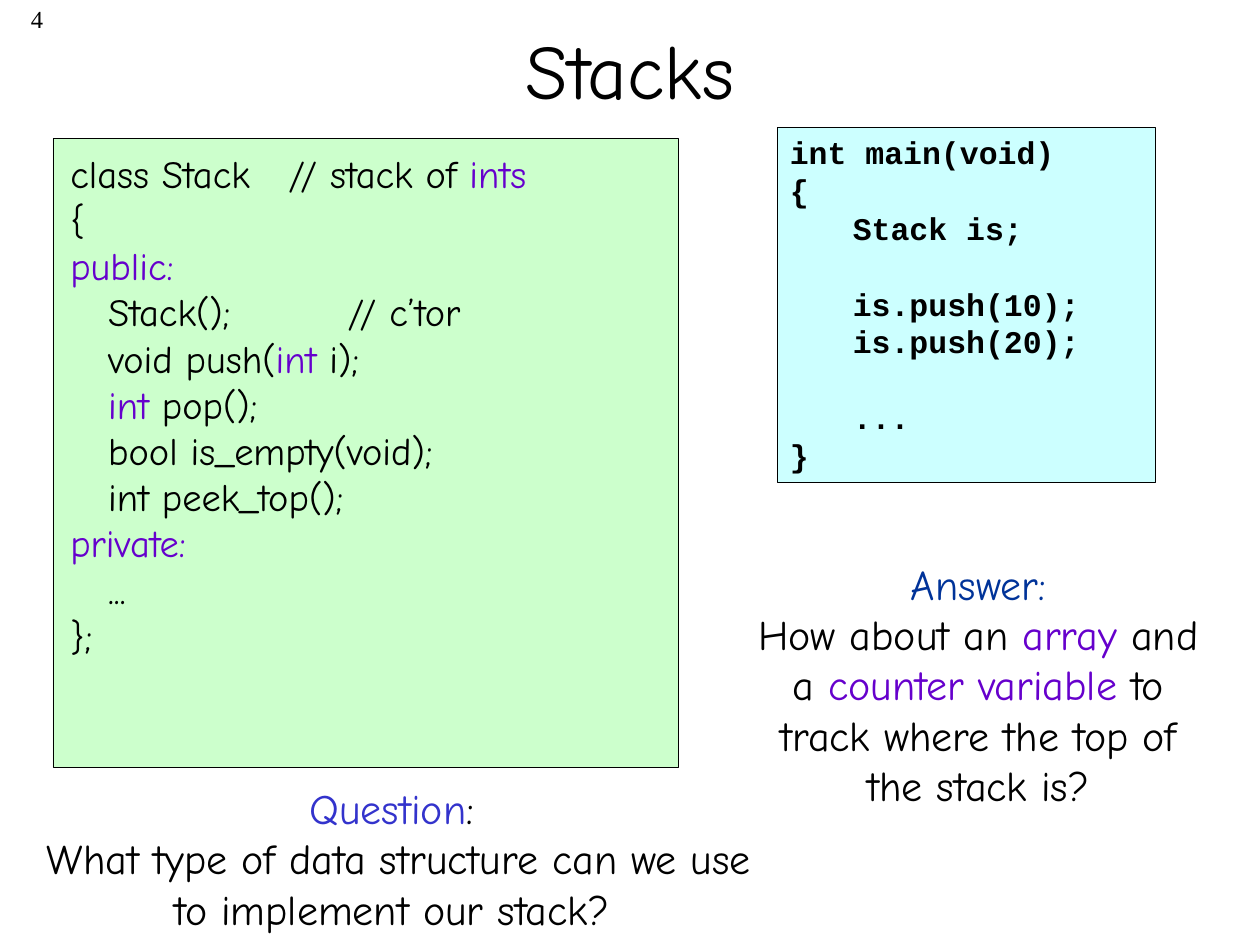
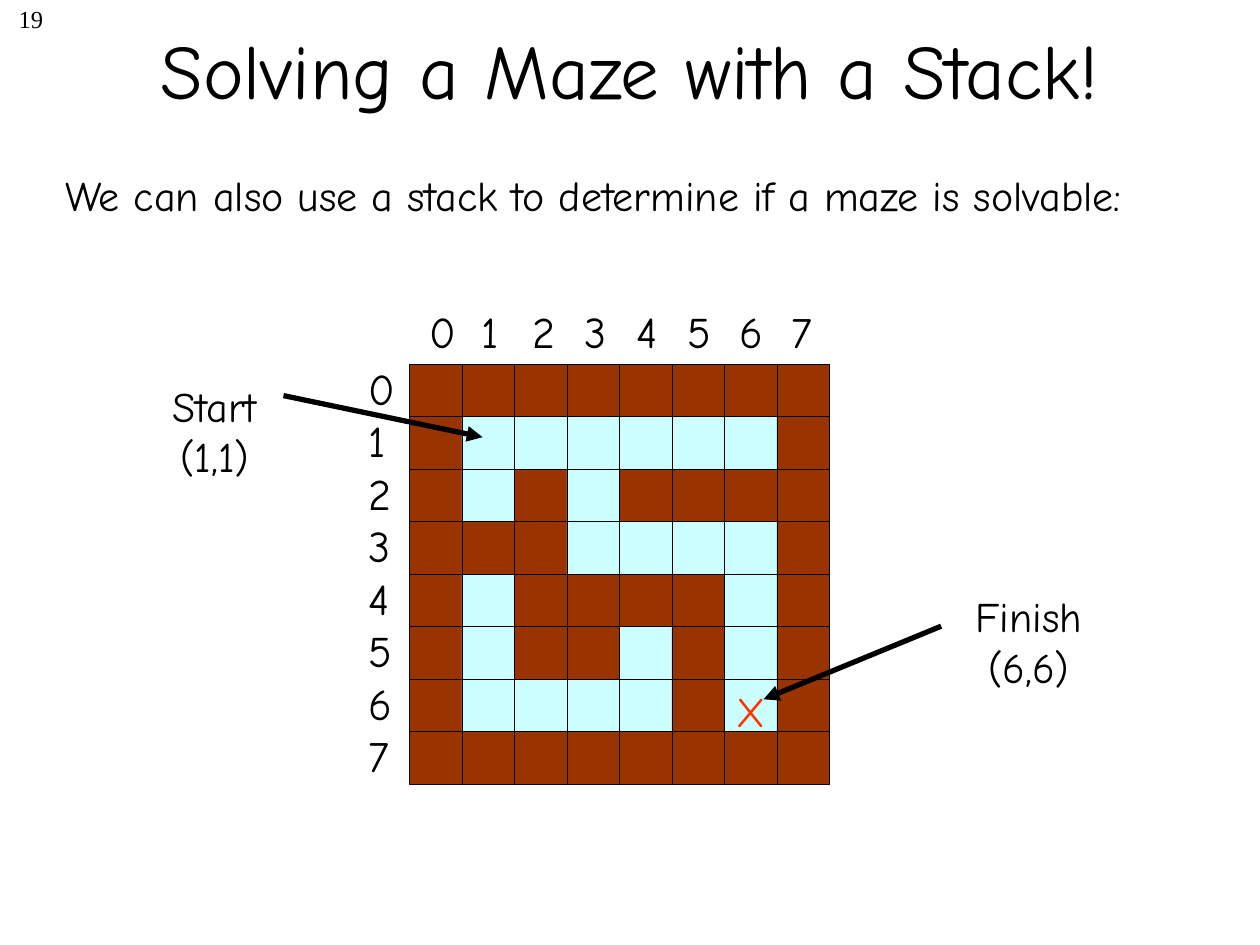
from dataclasses import dataclass

from lxml import etree
from pptx import Presentation
from pptx.dml.color import RGBColor
from pptx.enum.shapes import MSO_CONNECTOR, MSO_SHAPE
from pptx.enum.text import MSO_ANCHOR, PP_ALIGN
from pptx.oxml.ns import qn
from pptx.util import Inches, Pt

LEFT, MID, RIGHT = PP_ALIGN.LEFT, PP_ALIGN.CENTER, PP_ALIGN.RIGHT
CENTRE = MSO_ANCHOR.MIDDLE
RECT = MSO_SHAPE.RECTANGLE
STRAIGHT = MSO_CONNECTOR.STRAIGHT


@dataclass(frozen=True)
class Theme:
    # Fonts
    hand: str = "Comic Neue"
    mono: str = "Courier New"
    serif: str = "Times New Roman"
    # Type sizes
    title: int = 44
    digit: int = 25
    body: int = 24
    code: int = 22
    small: int = 18
    page: int = 14
    # Colours
    ink: str = "000000"
    key: str = "6600CC"
    ask: str = "3333CC"
    reply: str = "003399"
    mark: str = "FF3300"
    green: str = "CCFFCC"
    aqua: str = "CCFFFF"
    wall: str = "993300"


THEME = Theme()


def rgb(code):
    return RGBColor.from_string(code)


class Deck:
    def __init__(self, theme):
        self.theme = theme
        self.prs = Presentation()
        self.prs.slide_width, self.prs.slide_height = Inches(10), Inches(7.5)
        self.slide = None

    def page(self, number, title):
        """Start a slide with its number and title."""
        t = self.theme
        self.slide = self.prs.slides.add_slide(self.prs.slide_layouts[6])
        self.text((0, -0.02, 0.44, 0.5), [number], t.page, RIGHT, t.serif)
        head = self.text((0.75, -0.08, 8.5, 1.25), [title], t.title, MID)
        head.vertical_anchor = CENTRE

    def text(self, box, lines, size, align=LEFT, face=None, bold=False):
        """Write lines; each is a string or a list of (text, colour) runs."""
        frame = self.slide.shapes.add_textbox(*map(Inches, box)).text_frame
        frame.word_wrap = True
        for i, line in enumerate(lines):
            para = frame.add_paragraph() if i else frame.paragraphs[0]
            para.alignment = align
            font = para.font
            font.name, font.size = face or self.theme.hand, Pt(size)
            font.bold = bold
            font.color.rgb = rgb(self.theme.ink)
            runs = [(line, self.theme.ink)] if isinstance(line, str) else line
            for words, colour in runs:
                run = para.add_run()
                run.text = words
                if colour != self.theme.ink:
                    run.font.color.rgb = rgb(colour)
        return frame

    def tabs(self, paras, *stops):
        """Give paragraphs left tab stops, in inches."""
        for para in paras:
            props = para._p.get_or_add_pPr()
            tabs = etree.Element(qn("a:tabLst"))
            for stop in stops:
                etree.SubElement(tabs, qn("a:tab"), pos=str(Inches(stop)), algn="l")
            props.find(qn("a:defRPr")).addprevious(tabs)

    def rect(self, box, fill):
        shape = self.slide.shapes.add_shape(RECT, *map(Inches, box))
        shape.shadow.inherit = False
        shape.fill.solid()
        shape.fill.fore_color.rgb = rgb(fill)
        shape.line.color.rgb = rgb(self.theme.ink)
        shape.line.width = Pt(0.25)

    def arrow(self, start, end):
        ends = map(Inches, (*start, *end))
        link = self.slide.shapes.add_connector(STRAIGHT, *ends)
        link.line.color.rgb = rgb(self.theme.ink)
        link.line.width = Pt(3)
        etree.SubElement(link.line._get_or_add_ln(), qn("a:tailEnd"), type="triangle")
        etree.SubElement(link._element.spPr, qn("a:effectLst"))


def stacks(deck):
    t = deck.theme
    deck.page("4", "Stacks")

    # Class listing
    deck.rect((0.42, 1.1, 4.96, 4.99), t.green)
    code = deck.text((0.46, 1.14, 4.92, 4.13), [
        [("class Stack\t// stack of ", t.ink), ("ints", t.key)],
        "{",
        [("public:", t.key)],
        "\tStack();\t// c’tor",
        [("\tvoid push(", t.ink), ("int", t.key), (" i);", t.ink)],
        [("\tint", t.key), (" pop();", t.ink)],
        "\tbool is_empty(void);",
        "\tint peek_top();",
        [("private:", t.key)],
        "\t...",
        "};",
    ], t.code)
    first, *rest = code.paragraphs
    deck.tabs([first], 1.73)
    deck.tabs(rest, 0.3, 2.2)

    # Main program
    area = (6.17, 1.01, 3, 2.82)
    deck.rect(area, t.aqua)
    main_code = deck.text(area, [
        "int main(void)", "{", "\tStack is;", "\tis.push(10);",
        "\tis.push(20);", "\t...", "}",
    ], t.small, face=t.mono, bold=True)
    pitch = Pt(21.6)
    for para in main_code.paragraphs:
        para.line_spacing = pitch
    for i in (3, 5):
        main_code.paragraphs[i].space_before = pitch
    deck.tabs(main_code.paragraphs, 0.5)

    # Question and answer
    ask = deck.text((0.25, 6.21, 6.33, 1.2), [
        [("Question", t.ask), (": ", t.ink)],
        "What type of data structure can we use to implement our stack? ",
    ], t.body, MID)
    ask.margin_left = ask.margin_top = ask.margin_bottom = 0
    ask.margin_right = Inches(0.5)
    deck.text((5.9, 4.38, 3.73, 2.1), [
        [("Answer:", t.reply)],
        [("How about an ", t.ink), ("array ", t.key), ("and a ", t.ink),
         ("counter variable", t.key),
         (" to track where the top of the stack is?", t.ink)],
    ], t.body, MID)


MAZE = (
    "########",
    "#......#",
    "#.#.####",
    "###....#",
    "#.####.#",
    "#.##.#.#",
    "#....#.#",
    "########",
)


def maze(deck):
    t = deck.theme
    deck.page("19", "Solving a Maze with a Stack!")
    deck.text((0.42, 1.3, 8.91, 0.9),
              ["We can also use a stack to determine if a maze is solvable:"],
              t.body)

    # Grid
    left, top, side = 3.25, 2.89, 5 / 12
    for row, cells in enumerate(MAZE):
        for col, cell in enumerate(cells):
            fill = t.wall if cell == "#" else t.aqua
            deck.rect((left + col * side, top + row * side, side, side), fill)

    # Row and column numbers
    digits = [str(n) for n in range(len(MAZE))]
    deck.text((2.83, 2.82, 0.41, 3.43), digits, t.digit)
    cols = deck.text((3.31, 2.37, 3.4, 0.52), ["\t".join(digits)], t.digit)
    deck.tabs(cols.paragraphs, *(0.41 * n for n in range(1, len(MAZE))))

    # Start and finish
    deck.text((1.17, 2.97, 1.07, 0.9), ["Start", "(1,1)"], t.body, MID)
    deck.arrow((2.25, 3.14), (3.83, 3.47))
    deck.text((7.5, 4.64, 1.33, 0.9), ["Finish", "(6,6)"], t.body, MID)
    deck.arrow((7.47, 4.97), (6.06, 5.55))
    deck.text((5.75, 5.39, 0.44, 0.5), [[("X", t.mark)]], t.body)


def main():
    deck = Deck(THEME)
    stacks(deck)
    maze(deck)
    deck.prs.save("out.pptx")


if __name__ == "__main__":
    main()
